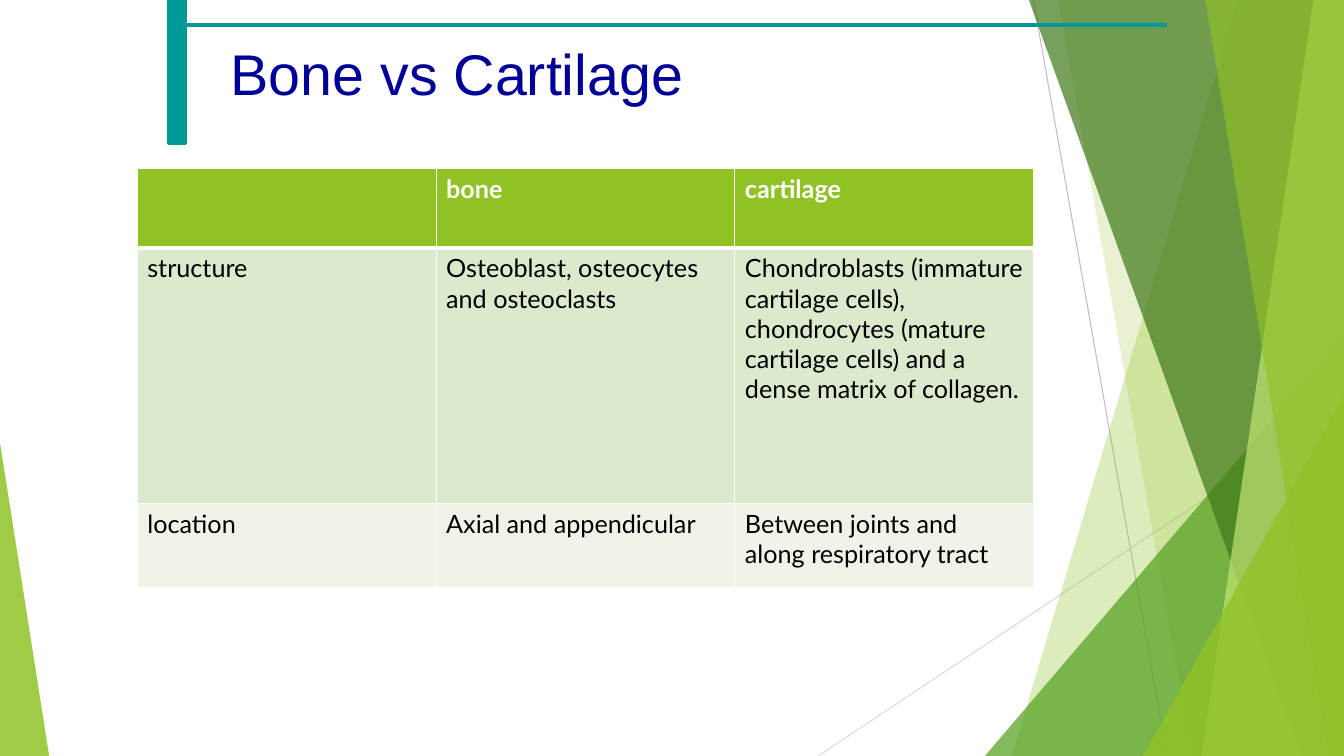
import pptx
import pptx.dml.color
import pptx.enum.shapes
import pptx.enum.text
import pptx.oxml.ns
import pptx.oxml.xmlchemy
import pptx.util

Cm = pptx.util.Cm
Pt = pptx.util.Pt
SHAPES = pptx.enum.shapes.MSO_SHAPE
ANCHOR = pptx.enum.text.MSO_ANCHOR
new_element = pptx.oxml.xmlchemy.OxmlElement

WIDTH, HEIGHT = 33.87, 19.05
COLOURS = {
    "lime": "90C226", "pale lime": "C0E474", "green": "54A021",
    "dark green": "3F7819", "grey": "BFBFBF", "light grey": "D9D9D9",
    "teal": "009999", "navy": "000099", "white": "FFFFFF", "black": "000000",
    "band one": "DBE9CD", "band two": "EEF4E8",
}

# Facets from back to front: top left and bottom left x of a band that
# reaches the right edge, or left, top, width and apex of a triangle
FACETS = [
    ("band", (31.19, 25.5), "lime", 30),
    ("band", (26.67, 30.05), "lime", 20),
    ("triangle", (24.82, 8.46, 9.05, 1), "green", 72),
    ("band", (25.93, 32.79), "dark green", 70),
    ("band", (33.1, 30.28), "pale lime", 70),
    ("band", (30.38, 33.48), "lime", 65),
    ("triangle", (28.8, 9.98, 5.07, 1), "lime", 80),
    ("triangle", (0, 11.15, 1.24, 0), "lime", 85),
]

COMPARISON = [
    ("", "bone", "cartilage"),
    ("structure", "Osteoblast, osteocytes and osteoclasts",
     "Chondroblasts (immature cartilage cells), chondrocytes (mature "
     "cartilage cells) and a dense matrix of collagen."),
    ("location", "Axial and appendicular",
     "Between joints and along respiratory tract"),
]
ROW_HEIGHTS = (2.0, 6.43, 2.13)
ROW_FILLS = ("lime", "band one", "band two")
COLUMN_WIDTH = 7.53


def colour(name):
    return pptx.dml.color.RGBColor.from_string(COLOURS[name])


def set_fill(item, name):
    item.fill.solid()
    item.fill.fore_color.rgb = colour(name)


def set_font(font, colour_name, **values):
    for attribute, value in values.items():
        setattr(font, attribute, value)
    font.color.rgb = colour(colour_name)


def add_line(page, start, end, colour_name, width):
    line = page.shapes.add_connector(
        pptx.enum.shapes.MSO_CONNECTOR.STRAIGHT,
        *(Cm(length) for length in start + end))
    line.line.color.rgb = colour(colour_name)
    line.line.width = Pt(width)
    line._element.spPr.append(new_element("a:effectLst"))


def add_band(page, top_left, bottom_left):
    builder = page.shapes.build_freeform(Cm(top_left), 0)
    corners = [(WIDTH, 0), (WIDTH, HEIGHT), (bottom_left, HEIGHT)]
    builder.add_line_segments([(Cm(x), Cm(y)) for x, y in corners], close=True)
    return builder.convert_to_shape()


def add_triangle(page, left, top, width, apex):
    triangle = page.shapes.add_shape(
        SHAPES.ISOSCELES_TRIANGLE, Cm(left), Cm(top), Cm(width),
        Cm(HEIGHT - top))
    triangle.adjustments[0] = apex
    return triangle


def add_facet(page, kind, geometry, colour_name, opacity):
    add = {"band": add_band, "triangle": add_triangle}[kind]
    facet = add(page, *geometry)
    facet.shadow.inherit = False
    facet.line.fill.background()
    set_fill(facet, colour_name)
    alpha = new_element("a:alpha")
    alpha.set("val", str(opacity * 1000))
    fill = facet._element.spPr.find(pptx.oxml.ns.qn("a:solidFill"))
    fill[0].append(alpha)


def add_title(page, text):
    box = page.shapes.add_textbox(Cm(5.56), Cm(0.84), Cm(23.01), Cm(1.98))
    frame = box.text_frame
    frame.word_wrap = True
    frame.vertical_anchor = ANCHOR.BOTTOM
    para = frame.paragraphs[0]
    properties = para._p.get_or_add_pPr()
    properties.set("marL", str(Cm(0.97)))
    properties.set("indent", str(-Cm(0.97)))
    span = para.add_run()
    span.text = text
    set_font(span.font, "navy", name="Arial", size=Pt(41))


def add_bar(page):
    bar = page.shapes.add_shape(
        SHAPES.RECTANGLE, Cm(4.24), 0, Cm(0.43), Cm(3.61))
    bar.shadow.inherit = False
    set_fill(bar, "teal")
    bar.line.color.rgb = colour("teal")
    bar.line.width = Pt(2)


def set_borders(cell, widths):
    properties = cell._tc.get_or_add_tcPr()
    for position, (side, width) in enumerate(widths.items()):
        border = new_element("a:ln" + side)
        border.set("w", str(Pt(width)))
        fill = new_element("a:solidFill")
        tint = new_element("a:srgbClr")
        tint.set("val", COLOURS["white"])
        fill.append(tint)
        border.append(fill)
        properties.insert(position, border)


def add_comparison(page):
    columns = len(COMPARISON[0])
    table = page.shapes.add_table(
        len(COMPARISON), columns, Cm(3.46), Cm(4.25),
        Cm(COLUMN_WIDTH * columns), Cm(sum(ROW_HEIGHTS))).table
    for column in table.columns:
        column.width = Cm(COLUMN_WIDTH)
    for row, texts in enumerate(COMPARISON):
        table.rows[row].height = Cm(ROW_HEIGHTS[row])
        header = row == 0
        for column, text in enumerate(texts):
            cell = table.cell(row, column)
            cell.text = text
            set_fill(cell, ROW_FILLS[row])
            set_borders(cell, {"L": 1, "R": 1, "T": 3 if row == 1 else 1,
                               "B": 3 if header else 1})
            para = cell.text_frame.paragraphs[0]
            for font in [para.font] + [span.font for span in para.runs]:
                set_font(font, "white" if header else "black",
                         name="Lato", size=Pt(18), bold=header)


def main():
    deck = pptx.Presentation()
    deck.slide_width, deck.slide_height = Cm(WIDTH), Cm(HEIGHT)
    page = deck.slides.add_slide(deck.slide_layouts[6])

    # Background decoration
    add_line(page, (26.04, 0), (29.41, HEIGHT), "grey", 0.75)
    add_line(page, (WIDTH, 10.24), (20.62, HEIGHT), "light grey", 0.75)
    for facet in FACETS:
        add_facet(page, *facet)

    # Title with its teal bar and rule
    add_title(page, "Bone vs Cartilage")
    add_bar(page)
    add_line(page, (4.65, 0.63), (29.41, 0.63), "teal", 3)

    # Comparison table
    add_comparison(page)
    deck.save("out.pptx")


if __name__ == "__main__":
    main()
